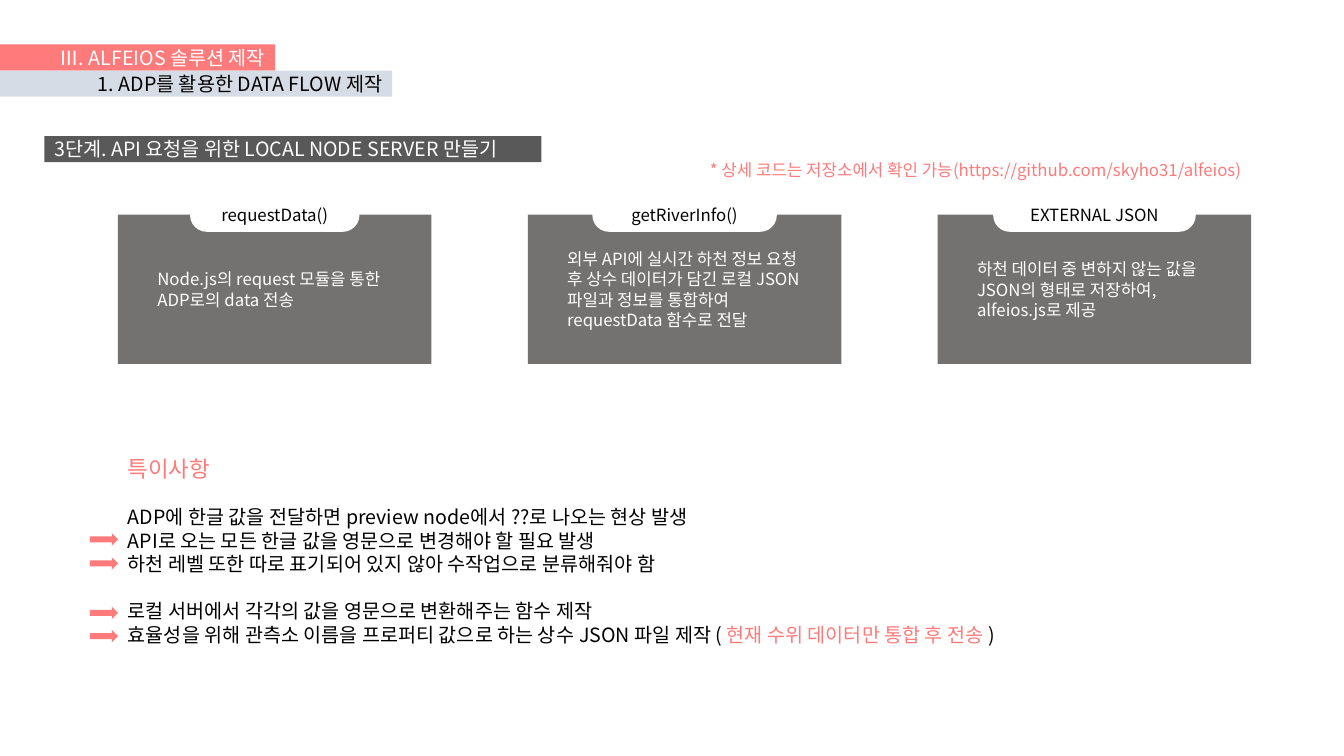
from lxml.etree import SubElement
from pptx import Presentation
from pptx.dml.color import RGBColor as RGB
from pptx.enum.shapes import MSO_SHAPE as Kind
from pptx.enum.text import MSO_ANCHOR as Anchor, MSO_AUTO_SIZE as Auto, PP_ALIGN as Align
from pptx.oxml.ns import qn
from pptx.util import Inches, Pt

FONT = "Noto Sans CJK KR"
HEX = {"pink": "FF7A7A", "pale": "D6DCE5", "dark": "595959",
       "gray": "737270", "white": "FFFFFF", "black": "000000"}
INK = {name: RGB.from_string(code) for name, code in HEX.items()}


def write(para, text, size, ink, align=Align.LEFT):
    para.text = text
    para.alignment = align
    font = para.font
    font.size = Pt(size)
    font.bold = False
    font.name = FONT
    font.color.rgb = INK[ink]
    SubElement(para._p.pPr.find(qn("a:defRPr")), qn("a:ea"), typeface=FONT)


def block(kind, left, top, width, height, fill):
    shape = slide.shapes.add_shape(
        kind, Inches(left), Inches(top), Inches(width), Inches(height))
    shape.shadow.inherit = False
    shape.fill.solid()
    shape.fill.fore_color.rgb = INK[fill]
    shape.line.fill.background()
    shape.text_frame.word_wrap = True
    shape.text_frame.vertical_anchor = Anchor.MIDDLE
    return shape


deck = Presentation()
deck.slide_width, deck.slide_height = Inches(13.33), Inches(7.5)
slide = deck.slides.add_slide(deck.slide_layouts[5])

title = slide.shapes.title
title.left, title.top = Inches(0), Inches(0.44)
title.width, title.height = Inches(2.73), Inches(0.26)
title.fill.solid()
title.fill.fore_color.rgb = INK["pink"]
title.text_frame.auto_size = Auto.NONE
title.text_frame.vertical_anchor = Anchor.MIDDLE
write(title.text_frame.paragraphs[0], "Ⅲ. ALFEIOS 솔루션 제작", 14, "white", Align.RIGHT)

bars = [
    (0, 0.7, 3.89, "pale", "1. ADP를 활용한 DATA FLOW 제작", "black", Align.RIGHT),
    (0.44, 1.35, 4.93, "dark", "3단계. API 요청을 위한 LOCAL NODE SERVER 만들기",
     "white", Align.LEFT),
]
for left, top, width, fill, text, ink, align in bars:
    bar = block(Kind.RECTANGLE, left, top, width, 0.26, fill)
    write(bar.text_frame.paragraphs[0], text, 14, ink, align)

cards = [
    ("requestData()", 1.68, "Node.js의 request 모듈을 통한 ADP로의 data 전송"),
    ("getRiverInfo()", 1.83, "외부 API에 실시간 하천 정보 요청 후 상수 데이터가 담긴 로컬 "
     "JSON 파일과 정보를 통합하여 requestData 함수로 전달"),
    ("EXTERNAL JSON", 2.01, "하천 데이터 중 변하지 않는 값을 JSON의 형태로 저장하여, "
     "alfeios.js로 제공"),
]
wide = 3.11
for i, (name, span, text) in enumerate(cards):
    left = 1.17 + 4.065 * i
    card = block(Kind.RECTANGLE, left, 2.13, wide, 1.48, "gray")
    card.text_frame.margin_left = card.text_frame.margin_right = Inches(0.39)
    write(card.text_frame.paragraphs[0], text, 12, "white")
    tab = block(Kind.ROUNDED_RECTANGLE, left + (wide - span) / 2, 1.97, span, 0.33, "white")
    tab.adjustments[0] = 0.5
    write(tab.text_frame.paragraphs[0], name, 12, "black", Align.CENTER)

link = slide.shapes.add_textbox(Inches(6.94), Inches(1.54), Inches(5.47), Inches(0.3))
link.text_frame.word_wrap = True
write(link.text_frame.paragraphs[0],
      "* 상세 코드는 저장소에서 확인 가능(https://github.com/skyho31/alfeios)",
      12, "pink", Align.RIGHT)

notes = [
    ("특이사항", 16, "pink", 0),
    ("ADP에 한글 값을 전달하면 preview node에서 ??로 나오는 현상 발생", 14, "black", 16.7),
    ("API로 오는 모든 한글 값을 영문으로 변경해야 할 필요 발생", 14, "black", 0),
    ("하천 레벨 또한 따로 표기되어 있지 않아 수작업으로 분류해줘야 함", 14, "black", 0),
    ("로컬 서버에서 각각의 값을 영문으로 변환해주는 함수 제작", 14, "black", 16.7),
    ("효율성을 위해 관측소 이름을 프로퍼티 값으로 하는 상수 JSON 파일 제작 ( ", 14, "black", 0),
]
frame = slide.shapes.add_textbox(
    Inches(1.17), Inches(4.39), Inches(11.24), Inches(2.14)).text_frame
frame.word_wrap = True
frame.vertical_anchor = Anchor.MIDDLE
for i, (text, size, ink, gap) in enumerate(notes):
    para = frame.add_paragraph() if i else frame.paragraphs[0]
    write(para, text, size, ink)
    if gap:
        para.space_before = Pt(gap)
accent = para.add_run()
accent.text = "현재 수위 데이터만 통합 후 전송 "
accent.font.color.rgb = INK["pink"]
para.add_run().text = ")"

for top in (5.29, 5.53, 6.02, 6.25):
    block(Kind.RIGHT_ARROW, 0.89, top, 0.28, 0.12, "pink")

deck.save("out.pptx")
